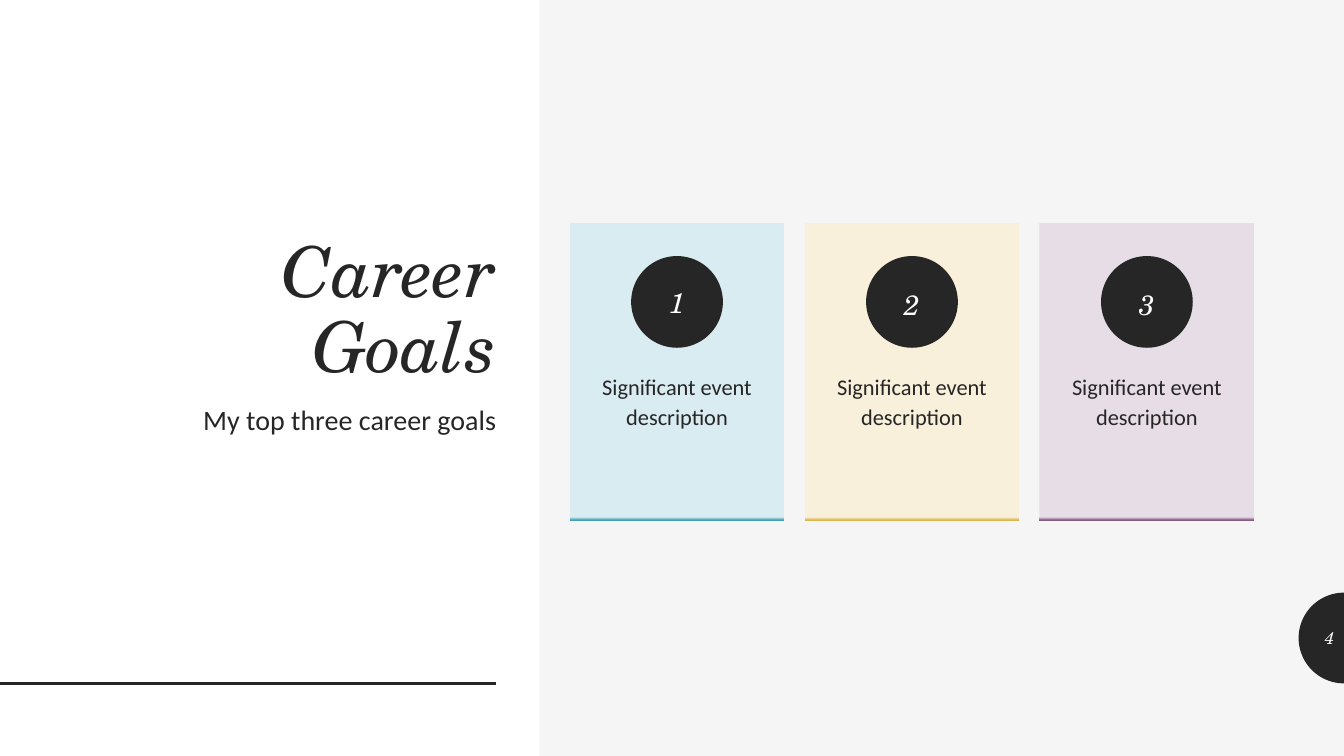
from math import cos, pi, sin

from lxml.etree import SubElement
from pptx import Presentation
from pptx.dml.color import RGBColor
from pptx.enum.shapes import MSO_CONNECTOR, MSO_SHAPE
from pptx.enum.text import MSO_ANCHOR, PP_ALIGN
from pptx.oxml.ns import qn
from pptx.util import Inches, Pt

DARK = RGBColor(0x26, 0x26, 0x26)
WHITE = RGBColor(0xFF, 0xFF, 0xFF)
PALE = RGBColor(0xF5, 0xF5, 0xF5)
BLUE = RGBColor(0xD9, 0xEC, 0xF1), RGBColor(0x43, 0x9E, 0xB7)
GOLD = RGBColor(0xF8, 0xF0, 0xDB), RGBColor(0xDC, 0xB6, 0x4D)
PLUM = RGBColor(0xE7, 0xDD, 0xE7), RGBColor(0x83, 0x5B, 0x82)

SERIF, SANS = "TeX Gyre Schola", "Calibri"
WIDTH, HEIGHT = 13.33, 7.5
PANEL_W = 5.35
BASELINE = 6.78
CARD_W, CARD_H, CARD_STEP = 2.13, 2.95, 2.33
DISC = 0.91
TAB_R = 0.45


def set_text(sp, text, font=SANS, size=16, color=DARK, italic=False,
             align=PP_ALIGN.CENTER, anchor=MSO_ANCHOR.TOP,
             insets=(0.1, 0.05, 0.1, 0.05), spacing=None, before=0):
    tf = sp.text_frame
    tf.word_wrap = True
    tf.vertical_anchor = anchor
    (tf.margin_left, tf.margin_top,
     tf.margin_right, tf.margin_bottom) = map(Inches, insets)
    p = tf.paragraphs[0]
    p.alignment = align
    p.space_before = Pt(before)
    if spacing:
        p.line_spacing = spacing
    r = p.add_run()
    r.text = text
    r.font.name, r.font.size, r.font.italic = font, Pt(size), italic
    r.font.color.rgb = color


def add_textbox(s, box, text, **fmt):
    set_text(s.shapes.add_textbox(*map(Inches, box)), text, **fmt)


def paint(sp, color):
    sp.shadow.inherit = False
    sp.line.fill.background()
    sp.fill.solid()
    sp.fill.fore_color.rgb = color


def add_filled(s, kind, box, color):
    sp = s.shapes.add_shape(kind, *map(Inches, box))
    paint(sp, color)
    return sp


def add_bottom_edge(sp, body, edge):
    """Downward gradient whose last percent turns into the edge colour."""
    sp.fill.gradient()
    grad = sp._element.spPr.find(qn("a:gradFill"))
    stops = grad.find(qn("a:gsLst"))
    for gs in list(stops):
        stops.remove(gs)
    for percent, color in ((0, body), (99, body), (100, edge)):
        gs = SubElement(stops, qn("a:gs"), pos=str(percent * 1000))
        SubElement(gs, qn("a:srgbClr"), val=str(color))
    grad.find(qn("a:lin")).set("ang", "5400000")


def title_panel(s, x, y, w, h):
    add_filled(s, MSO_SHAPE.RECTANGLE, (x, y, w, h), WHITE)

    # Rule under the panel text
    rule = s.shapes.add_connector(
        MSO_CONNECTOR.STRAIGHT, Inches(x), Inches(BASELINE),
        Inches(x + w - 0.43), Inches(BASELINE))
    rule.line.color.rgb = DARK
    rule.line.width = Pt(2)
    SubElement(rule._element.spPr, qn("a:effectLst"))

    # Title and subtitle share a right edge and meet at one height
    left, meet, text_w = x + 0.83, y + 3.9, w - 1.16
    add_textbox(s, (left, meet - 2.43, text_w, 2.43), "Career Goals",
                font=SERIF, size=50, italic=True, align=PP_ALIGN.RIGHT,
                anchor=MSO_ANCHOR.BOTTOM, spacing=0.9)
    add_textbox(s, (left, meet, text_w, 3.12), "My top three career goals",
                size=20, align=PP_ALIGN.RIGHT, spacing=1.12, before=9)


def goal_card(s, x, y, w, h, number, colors, number_spacing):
    card = add_filled(s, MSO_SHAPE.RECTANGLE, (x, y, w, h), colors[0])
    add_bottom_edge(card, *colors)
    set_text(card, "Significant event description",
             insets=(0, 1.46, 0, 0), spacing=1.12, before=9)

    disc = add_filled(s, MSO_SHAPE.OVAL,
                      (x + (w - DISC) / 2, y + 0.33, DISC, DISC), DARK)
    set_text(disc, number, font=SERIF, size=20, color=WHITE, italic=True,
             anchor=MSO_ANCHOR.MIDDLE, insets=(0, 0, 0, 0),
             spacing=number_spacing, before=9)


def page_tab(s, right, middle, radius, number):
    # Half disc on the slide's right edge
    steps = 48
    angles = [pi / 2 + pi * i / steps for i in range(steps + 1)]
    pts = [(Inches(right + radius * cos(a)), Inches(middle - radius * sin(a)))
           for a in angles]
    builder = s.shapes.build_freeform(*pts[0])
    builder.add_line_segments(pts[1:], close=True)
    paint(builder.convert_to_shape(), DARK)

    add_textbox(s, (right - radius, middle - 0.2, radius, 0.4), number,
                font=SERIF, size=12, color=PALE, italic=True,
                align=PP_ALIGN.RIGHT, anchor=MSO_ANCHOR.MIDDLE)


def main():
    prs = Presentation()
    prs.slide_width, prs.slide_height = Inches(WIDTH), Inches(HEIGHT)
    s = prs.slides.add_slide(prs.slide_layouts[6])
    s.background.fill.solid()
    s.background.fill.fore_color.rgb = PALE

    title_panel(s, 0, 0, PANEL_W, HEIGHT)
    cards = (("1", BLUE, None), ("2", GOLD, 1.12), ("3", PLUM, 1.12))
    for i, card in enumerate(cards):
        goal_card(s, PANEL_W + 0.3 + i * CARD_STEP, 2.21, CARD_W, CARD_H, *card)
    page_tab(s, WIDTH, BASELINE - TAB_R, TAB_R, "4")

    prs.save("out.pptx")


if __name__ == "__main__":
    main()
